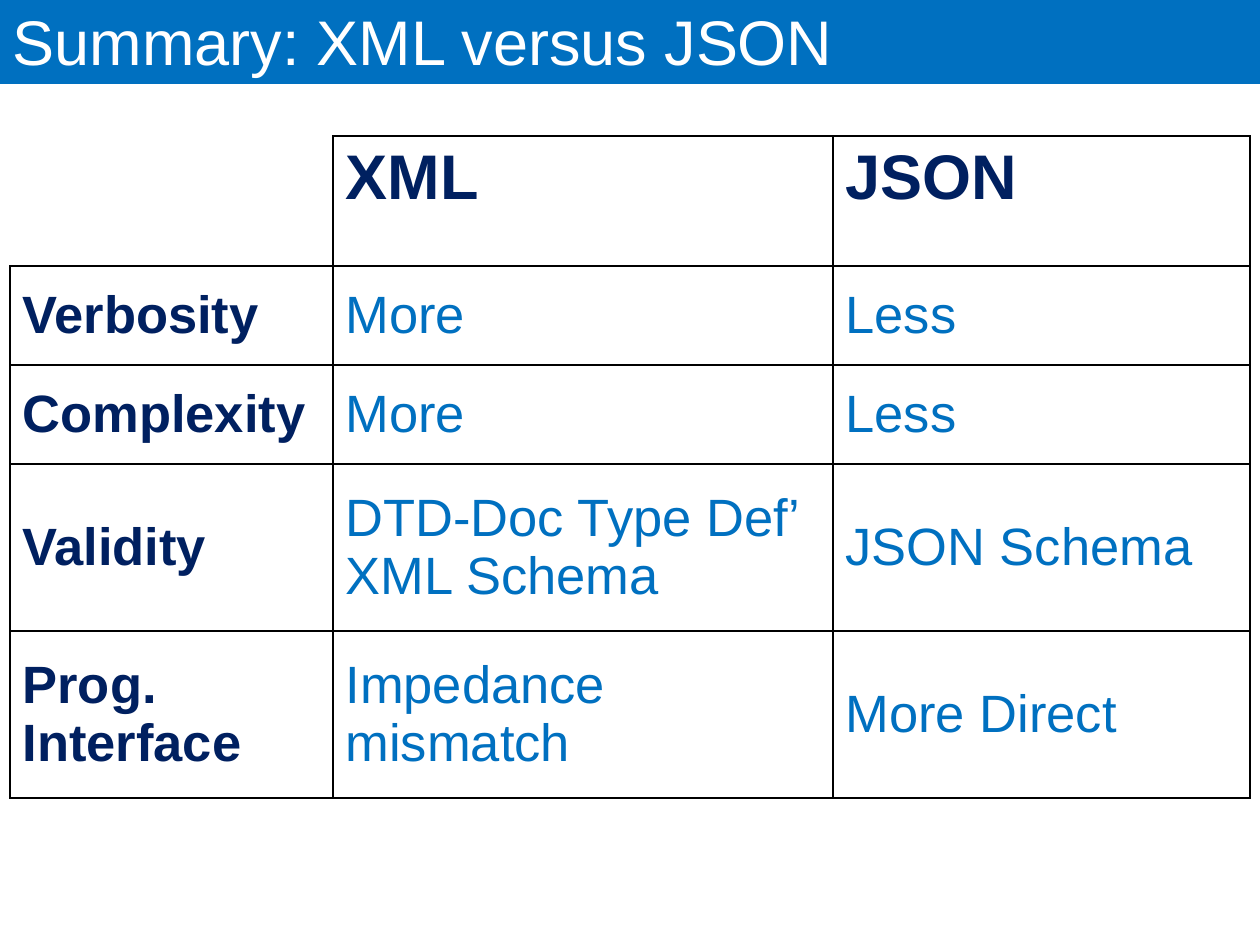
from lxml import etree
from pptx import Presentation
from pptx.dml.color import RGBColor
from pptx.enum.text import MSO_ANCHOR, MSO_AUTO_SIZE, PP_ALIGN
from pptx.oxml.ns import qn
from pptx.util import Pt

TOP, MIDDLE, BOTTOM = MSO_ANCHOR.TOP, MSO_ANCHOR.MIDDLE, MSO_ANCHOR.BOTTOM
LEFT = PP_ALIGN.LEFT
NO_AUTOFIT = MSO_AUTO_SIZE.NONE
TITLE_ONLY = 5

EMU_PER_PX = 914400 / 126
FONT = "Arial"
BLUE, NAVY, WHITE, BLACK = "0070C0", "002060", "FFFFFF", "000000"

COLUMN_WIDTHS = [323, 500, 417]
ROW_HEIGHTS = [130, 99, 99, 167, 167]
COMPARISON = [
    ["", "XML", "JSON"],
    ["Verbosity", "More", "Less"],
    ["Complexity", "More", "Less"],
    ["Validity", "DTD-Doc Type Def’\nXML Schema", "JSON Schema"],
    ["Prog. Interface", "Impedance mismatch", "More Direct"],
]


def px(length):
    return round(length * EMU_PER_PX)


def rgb(color):
    return RGBColor.from_string(color)


def format_text(frame, size, color, bold=False):
    for paragraph in frame.paragraphs:
        paragraph.alignment = LEFT
        for run in paragraph.runs:
            run.font.name = FONT
            run.font.size = Pt(size)
            run.font.bold = bold
            run.font.color.rgb = rgb(color)


def set_borders(cell, hidden_sides=()):
    properties = cell._tc.get_or_add_tcPr()
    for position, side in enumerate(("lnL", "lnR", "lnT", "lnB")):
        border = etree.Element(qn(f"a:{side}"), w=str(Pt(1)))
        if side in hidden_sides:
            etree.SubElement(border, qn("a:noFill"))
        else:
            fill = etree.SubElement(border, qn("a:solidFill"))
            etree.SubElement(fill, qn("a:srgbClr"), val=BLACK)
        properties.insert(position, border)


def place_title(slide, left, top, width, height):
    title = slide.shapes.title
    title.left, title.top = px(left), px(top)
    title.width, title.height = px(width), px(height)
    title.fill.solid()
    title.fill.fore_color.rgb = rgb(BLUE)
    frame = title.text_frame
    frame.text = "Summary: XML versus JSON"
    frame.auto_size = NO_AUTOFIT
    frame.vertical_anchor = BOTTOM
    format_text(frame, 36, WHITE)


def place_comparison(slide, left, top):
    table = slide.shapes.add_table(
        len(ROW_HEIGHTS), len(COLUMN_WIDTHS), px(left), px(top),
        px(sum(COLUMN_WIDTHS)), px(sum(ROW_HEIGHTS))).table
    table.first_row = False
    table.horz_banding = False
    for column, width in zip(table.columns, COLUMN_WIDTHS):
        column.width = px(width)
    for row, height in zip(table.rows, ROW_HEIGHTS):
        row.height = px(height)
    for r, texts in enumerate(COMPARISON):
        for c, text in enumerate(texts):
            cell = table.cell(r, c)
            heading = r == 0 or c == 0
            cell.text_frame.text = text
            cell.vertical_anchor = TOP if r == 0 else MIDDLE
            format_text(cell.text_frame, 36 if r == 0 else 30,
                        NAVY if heading else BLUE, heading)
            cell.fill.background()
            set_borders(cell, ("lnL", "lnT") if r == c == 0 else ())


def main():
    deck = Presentation()
    deck.slide_width, deck.slide_height = px(1260), px(945)
    slide = deck.slides.add_slide(deck.slide_layouts[TITLE_ONLY])
    place_title(slide, 0, 0, 1260, 84)
    place_comparison(slide, 10, 136)
    deck.save("out.pptx")


if __name__ == "__main__":
    main()
